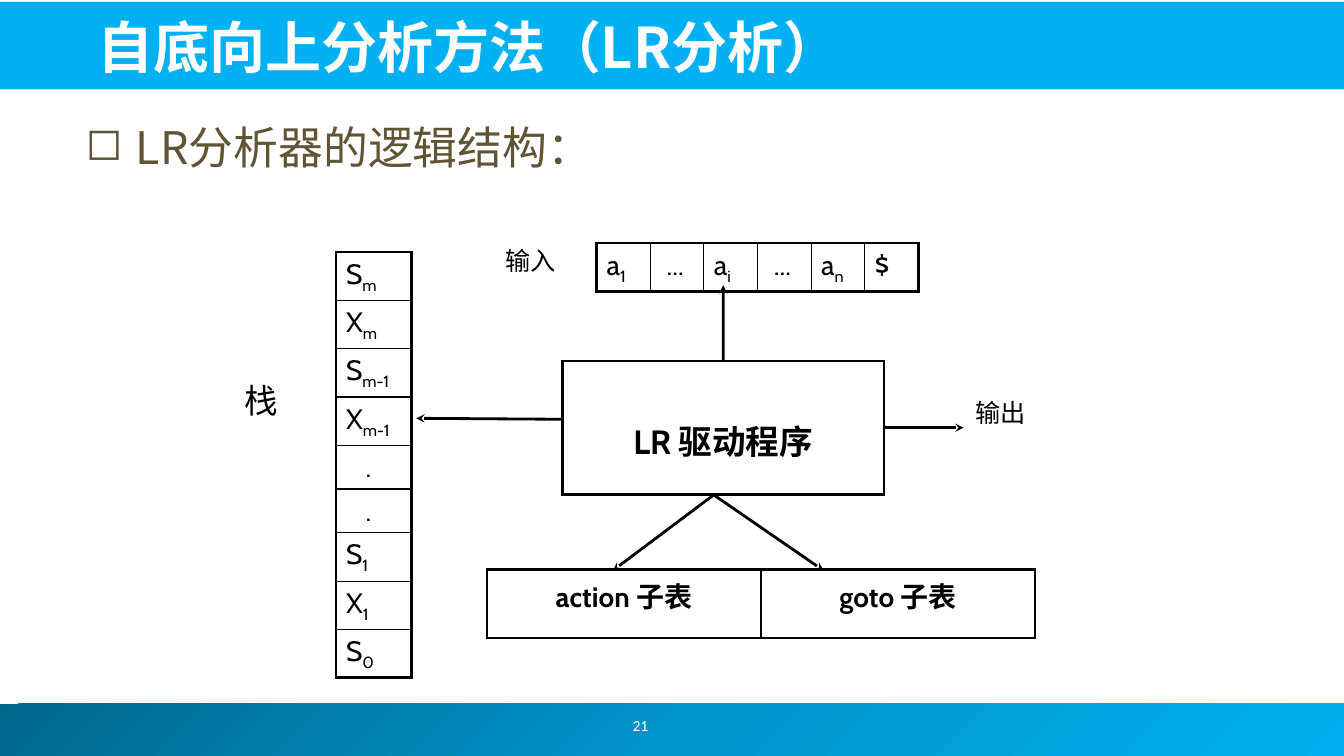
from copy import deepcopy
from dataclasses import dataclass

from lxml.etree import SubElement
from pptx import Presentation
from pptx.dml.color import RGBColor as Color
from pptx.enum.shapes import MSO_CONNECTOR as Connector, MSO_SHAPE as Preset
from pptx.enum.text import MSO_ANCHOR as Anchor, PP_ALIGN as Align
from pptx.oxml import parse_xml
from pptx.oxml.ns import nsdecls, qn
from pptx.util import Pt


@dataclass(frozen=True)
class Theme:
    """Colours, fonts and sizes in points."""

    ink: str = "000000"
    paper: str = "FFFFFF"
    band: str = "00B0F0"
    heading: str = "605435"
    footer_stops: tuple = ((0, "00688E"), (0.5, "0094CA"), (1, "00B0F0"))
    cjk: str = "Noto Sans CJK JP"
    cell: str = "Cabin"
    label: str = "Times New Roman"
    number: str = "Calibri"
    title_size: float = 40
    heading_size: float = 32
    large_size: float = 24
    cell_size: float = 20
    label_size: float = 18
    number_size: float = 11
    outer_line: float = 2.25
    inner_line: float = 1
    arrow_line: float = 2


class ParserSlide:
    """Draws the elements of the slide in one style."""

    def __init__(self, slide, theme):
        self.slide = slide
        self.theme = theme

    def style(self, paragraph, size, font, color, bold=False, align=Align.LEFT):
        """Format every run of a paragraph."""
        paragraph.alignment = align
        for run in paragraph.runs:
            run.font.size = Pt(size)
            run.font.name = font
            run.font.bold = bold
            run.font.color.rgb = Color.from_string(color)
            east_asian = SubElement(run.font._element, qn("a:ea"))
            east_asian.set("typeface", self.theme.cjk)

    def bar(self, left, top, width, height):
        """Add a plain band and return it."""
        shape = self.slide.shapes.add_shape(
            Preset.RECTANGLE, Pt(left), Pt(top), Pt(width), Pt(height))
        shape.shadow.inherit = False
        shape.line.fill.background()
        shape.fill.solid()
        shape.fill.fore_color.rgb = Color.from_string(self.theme.band)
        return shape

    def gradient_bar(self, left, top, width, height):
        """Add a band with the three-stop diagonal gradient."""
        fill = self.bar(left, top, width, height).fill
        fill.gradient()
        fill.gradient_angle = 315
        stop_list = fill.gradient_stops[0]._gs.getparent()
        stop_list.insert(1, deepcopy(stop_list[0]))
        for stop, (position, color) in zip(fill.gradient_stops, self.theme.footer_stops):
            stop.position = position
            stop.color.rgb = Color.from_string(color)

    def text(self, content, left, top, width, height, size, font, color,
             bold=False, align=Align.LEFT, anchor=Anchor.TOP):
        """Add a text box and return it."""
        shape = self.slide.shapes.add_textbox(Pt(left), Pt(top), Pt(width), Pt(height))
        text_frame = shape.text_frame
        text_frame.word_wrap = True
        text_frame.vertical_anchor = anchor
        text_frame.text = content
        self.style(text_frame.paragraphs[0], size, font, color, bold, align)
        return shape

    def bullet(self, content, left, top, width, height):
        """Add a heading with a hollow square bullet."""
        theme = self.theme
        shape = self.text(content, left, top, width, height,
                          theme.heading_size, theme.cjk, theme.heading)
        properties = shape.text_frame.paragraphs[0]._p.get_or_add_pPr()
        properties.set("marL", str(Pt(36)))
        properties.set("indent", str(-Pt(36)))
        SubElement(properties, qn("a:buChar")).set("char", "◻")

    def label(self, content, left, top, width, size):
        """Add a caption on a paper-coloured ground."""
        shape = self.text(content, left, top, width, 36,
                          size, self.theme.label, self.theme.ink)
        shape.fill.solid()
        shape.fill.fore_color.rgb = Color.from_string(self.theme.paper)

    def border(self, cell, row, column, last_row, last_column):
        """Draw thick lines on the table's edge and thin ones inside."""
        theme = self.theme
        edges = (("L", column == 0), ("R", column == last_column),
                 ("T", row == 0), ("B", row == last_row))
        properties = cell._tc.get_or_add_tcPr()
        for index, (side, outer) in enumerate(edges):
            width = Pt(theme.outer_line if outer else theme.inner_line)
            properties.insert(index, parse_xml(
                f'<a:ln{side} {nsdecls("a")} w="{width}"><a:solidFill>'
                f'<a:srgbClr val="{theme.ink}"/></a:solidFill></a:ln{side}>'))

    def table(self, rows, left, top, column_width, heights, size=None,
              bold=False, align=Align.LEFT, indents=None, margin_top=3.6):
        """Add a bordered table, with subscripts after an underscore."""
        theme = self.theme
        last_row, last_column = len(rows) - 1, len(rows[0]) - 1
        frame = self.slide.shapes.add_table(
            len(rows), len(rows[0]), Pt(left), Pt(top),
            Pt(column_width * len(rows[0])), Pt(sum(heights)))
        table = frame.table
        table.first_row = table.horz_banding = False
        for column in table.columns:
            column.width = Pt(column_width)
        for r, (contents, height) in enumerate(zip(rows, heights)):
            table.rows[r].height = Pt(height)
            for c, content in enumerate(contents):
                cell = table.cell(r, c)
                cell.margin_top = Pt(margin_top)
                cell.margin_left = Pt(7.2 + (indents or {}).get(content, 0))
                cell.fill.solid()
                cell.fill.fore_color.rgb = Color.from_string(theme.paper)
                self.border(cell, r, c, last_row, last_column)
                symbol, _, subscript = content.partition("_")
                paragraph = cell.text_frame.paragraphs[0]
                paragraph.text = symbol
                if subscript:
                    run = paragraph.add_run()
                    run.text = subscript
                    run.font._element.set("baseline", "-25000")
                self.style(paragraph, size or theme.cell_size, theme.cell,
                           theme.ink, bold, align)
        return frame

    def arrow(self, start, end, source=None, site=0):
        """Add an arrow, joined to a side of its source if one is given."""
        connector = self.slide.shapes.add_connector(
            Connector.STRAIGHT, *(Pt(value) for value in (*start, *end)))
        if source is not None:
            connector.begin_connect(source, site)
        connector.line.width = Pt(self.theme.arrow_line)
        connector.line.color.rgb = Color.from_string(self.theme.ink)
        SubElement(connector.line._get_or_add_ln(), qn("a:tailEnd")).set("type", "stealth")
        SubElement(connector._element.spPr, qn("a:effectLst"))


def main():
    """Build the slide on the structure of an LR parser."""
    presentation = Presentation()
    presentation.slide_width, presentation.slide_height = Pt(960), Pt(540)
    theme = Theme()
    page = ParserSlide(
        presentation.slides.add_slide(presentation.slide_layouts[6]), theme)

    page.gradient_bar(-3.6, 502.6, 964, 37.4)
    page.bar(-1.4, 1.4, 962, 62.6)
    page.text("21", 353.5, 500.4, 208, 36, theme.number_size, theme.number,
              theme.paper, align=Align.CENTER, anchor=Anchor.MIDDLE)
    page.text("自底向上分析方法（LR分析）", 62.6, 3.6, 868.3, 56.9, theme.title_size,
              theme.cjk, theme.paper, bold=True, anchor=Anchor.BOTTOM)
    page.bullet("LR分析器的逻辑结构：", 54, 82, 470, 51)

    stack = ("S_m", "X_m", "S_m-1", "X_m-1", ".", ".", "S_1", "X_1", "S_0")
    page.table([(symbol,) for symbol in stack], 240, 180, 54,
               [31.2] * 8 + [34], indents={".": 14})
    page.table([("a_1", "...", "a_i", "...", "a_n", "$")], 426.2, 173.5, 38.3,
               [31.2], indents={"...": 4.5})
    page.table([("action 子表", "goto 子表")], 347.8, 406.8, 195.8, [49],
               bold=True, align=Align.CENTER)
    driver = page.table([("LR 驱动程序",)], 401.8, 257.8, 229.7, [95.4],
                        theme.large_size, bold=True, align=Align.CENTER, margin_top=39)

    page.label("栈", 167.8, 267.8, 38.4, theme.large_size)
    page.label("输入", 354.2, 172, 62.6, theme.label_size)
    page.label("输出", 689.8, 280, 62.6, theme.label_size)

    page.arrow((401.8, 299.5), (297.4, 298.8))
    for target in (437.8, 588.2):
        page.arrow((509.8, 353.5), (target, 407.5))
    page.arrow((516.6, 257.8), (516.6, 203.8), driver, 0)
    page.arrow((631.5, 305.5), (688.3, 305.5), driver, 3)

    presentation.save("out.pptx")


if __name__ == "__main__":
    main()
